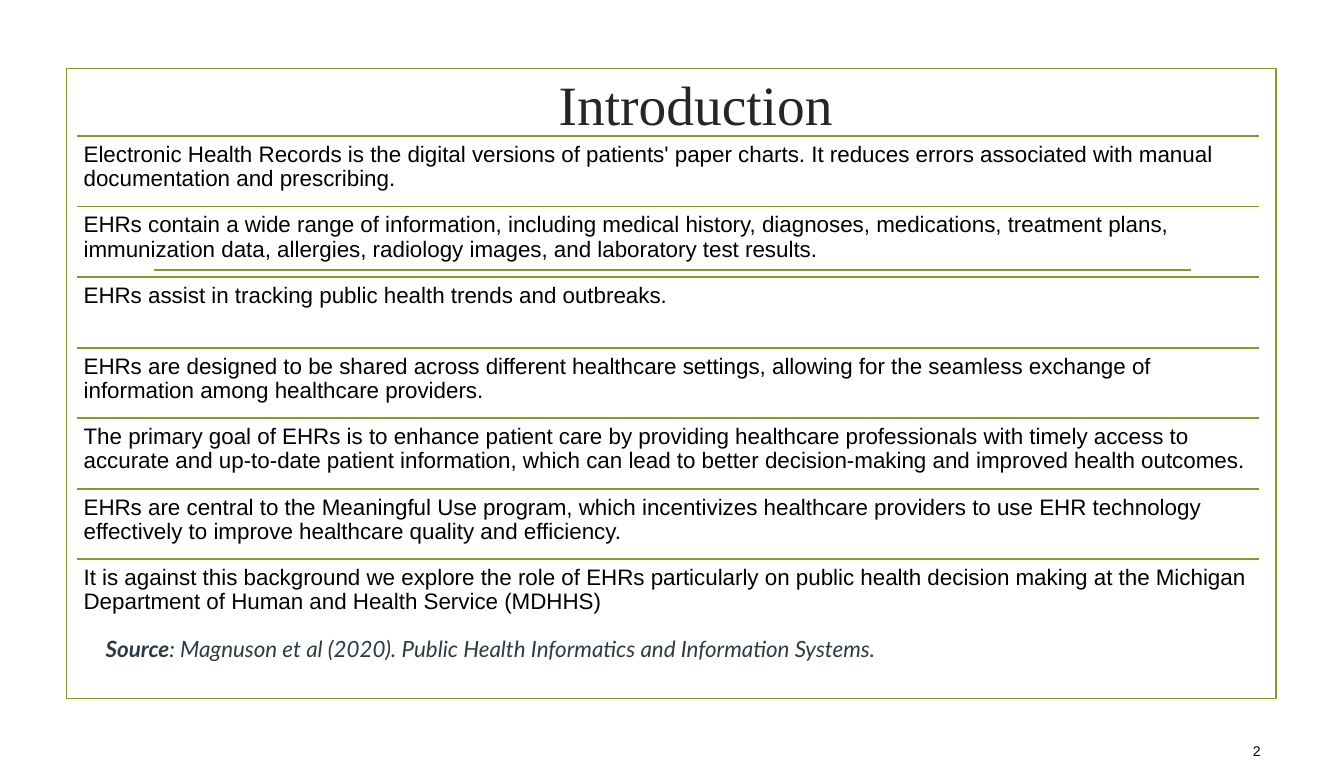
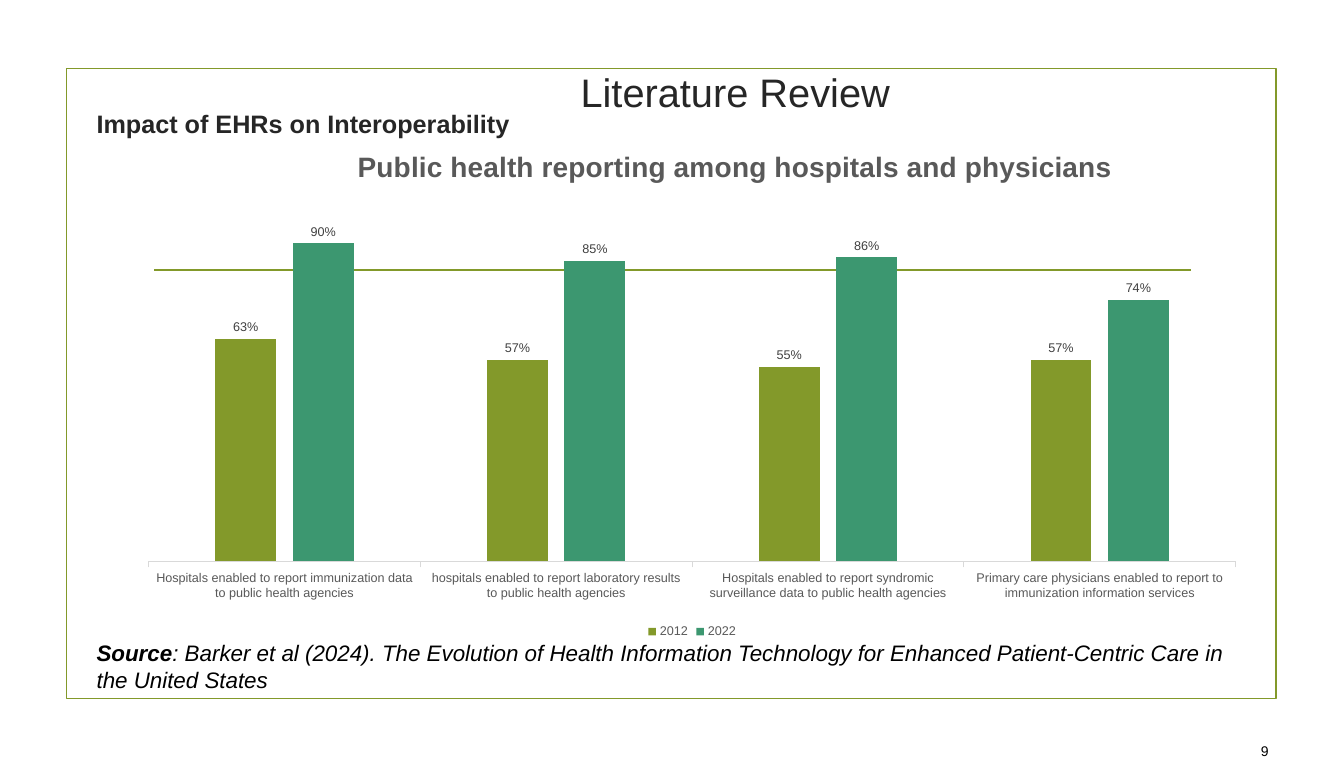
from lxml import etree
from pptx import Presentation
from pptx import util as u
from pptx.chart import data as cd
from pptx.dml import color as dc
from pptx.enum import chart as ec
from pptx.enum import shapes as es
from pptx.enum import text as et
from pptx.oxml import ns

WIDE, HIGH = 13.33, 7.6
OLIVE, GREEN = "83992A", "3C9770"
BLACK, DARK, SLATE = "000000", "262626", "2D3B45"
GREY, LABEL, PALE = "595959", "404040", "D9D9D9"
SANS, SERIF, LATO = "Arial", "Times New Roman", "Lato"
LEFT, RIGHT, TOP, STEP = 0.76, 12.49, 1.35, 0.7
ALIGN, MID = et.PP_ALIGN, et.MSO_ANCHOR.MIDDLE

POINTS = [
    "Electronic Health Records is the digital versions of patients' paper charts. "
    "It reduces errors associated with manual documentation and prescribing.",
    "EHRs contain a wide range of information, including medical history, diagnoses, "
    "medications, treatment plans, immunization data, allergies, radiology images, "
    "and laboratory test results.",
    "EHRs assist in tracking public health trends and outbreaks.",
    "EHRs are designed to be shared across different healthcare settings, allowing "
    "for the seamless exchange of information among healthcare providers.",
    "The primary goal of EHRs is to enhance patient care by providing healthcare "
    "professionals with timely access to accurate and up-to-date patient information, "
    "which can lead to better decision-making and improved health outcomes.",
    "EHRs are central to the Meaningful Use program, which incentivizes healthcare "
    "providers to use EHR technology effectively to improve healthcare quality and "
    "efficiency.",
    "It is against this background we explore the role of EHRs particularly on public "
    "health decision making at the Michigan Department of Human and Health Service "
    "(MDHHS)",
]
CATS = [
    "Hospitals enabled to report immunization data to public health agencies",
    "hospitals enabled to report laboratory results to public health agencies",
    "Hospitals enabled to report syndromic surveillance data to public health agencies",
    "Primary care physicians enabled to report to immunization information services",
]
SERIES = [
    ("2012", (0.63, 0.57, 0.55, 0.57), OLIVE),
    ("2022", (0.9, 0.85, 0.86, 0.74), GREEN),
]


def rgb(code):
    return dc.RGBColor.from_string(code)


def style(font, size, color, face=SANS, bold=False, slant=False):
    font.size, font.name = u.Pt(size), face
    font.bold, font.italic = bold, slant
    font.color.rgb = rgb(color)


def write(slide, box, runs, align=ALIGN.LEFT, anchor=et.MSO_ANCHOR.TOP, inset=None, lead=None):
    frame = slide.shapes.add_textbox(*map(u.Inches, box)).text_frame
    frame.word_wrap = True
    frame.vertical_anchor = anchor
    if inset is not None:
        frame.margin_left = frame.margin_right = u.Inches(inset)
        frame.margin_top = frame.margin_bottom = u.Inches(inset)
    para = frame.paragraphs[0]
    para.alignment = align
    if lead:
        para.line_spacing = lead
    for words, *look in runs:
        run = para.add_run()
        run.text = words
        style(run.font, *look)


def rule(slide, left, right, top):
    ends = map(u.Inches, (left, top, right, top))
    line = slide.shapes.add_connector(es.MSO_CONNECTOR.STRAIGHT, *ends)
    line.line.color.rgb = rgb(OLIVE)
    line.line.width = u.Pt(1.25)
    etree.SubElement(line._element.spPr, ns.qn("a:effectLst"))


def base(deck, title, box, size, face, page, left):
    slide = deck.slides.add_slide(deck.slide_layouts[6])
    edge = map(u.Inches, (0.66, 0.68, 12, 6.25))
    frame = slide.shapes.add_shape(es.MSO_SHAPE.RECTANGLE, *edge)
    frame.shadow.inherit = False
    frame.fill.background()
    frame.line.color.rgb = rgb(OLIVE)
    frame.line.width = u.Pt(1.25)
    rule(slide, 1.53, 11.81, 2.68)
    write(slide, box, [(title, size, DARK, face)], ALIGN.CENTER, MID)
    write(slide, (left, 7.29, 0.59, 0.31), [(page, 10, BLACK)], ALIGN.RIGHT, MID)
    return slide


def source(slide, box, words, color, face):
    write(slide, box, [("Source", 16, color, face, True, True),
                       (words, 16, color, face, False, True)])


def place(layout, **spots):
    for old in list(layout):
        layout.remove(old)
    node = etree.SubElement(layout, ns.qn("c:manualLayout"))
    if "w" in spots:
        etree.SubElement(node, ns.qn("c:layoutTarget")).set("val", "inner")
    for axis in "xy":
        etree.SubElement(node, ns.qn(f"c:{axis}Mode")).set("val", "edge")
    for key, val in spots.items():
        etree.SubElement(node, ns.qn(f"c:{key}")).set("val", str(val))


def layout(owner, after):
    node = owner.find(ns.qn("c:layout"))
    if node is None:
        node = etree.Element(ns.qn("c:layout"))
        if after is None:
            owner.insert(0, node)
        else:
            owner.find(ns.qn(after)).addnext(node)
    return node


def bars(slide, box, title):
    data = cd.CategoryChartData(number_format="0%")
    data.categories = CATS
    for name, vals, _ in SERIES:
        data.add_series(name, vals)
    kind = ec.XL_CHART_TYPE.COLUMN_CLUSTERED
    chart = slide.shapes.add_chart(kind, *map(u.Inches, box), data).chart
    style(chart.font, 10, BLACK)

    chart.has_title = True
    run = chart.chart_title.text_frame.paragraphs[0].add_run()
    run.text = title
    style(run.font, 20, GREY, bold=True)
    place(layout(chart.chart_title._element, "c:tx"), x=0.2, y=0.02)

    chart.has_legend = True
    chart.legend.position = ec.XL_LEGEND_POSITION.BOTTOM
    chart.legend.include_in_layout = False
    style(chart.legend.font, 9, GREY)

    vals = chart.value_axis
    vals.minimum_scale, vals.maximum_scale = 0, 1
    vals.has_major_gridlines = False
    vals.visible = False
    cats = chart.category_axis
    cats.major_tick_mark = ec.XL_TICK_MARK.OUTSIDE
    cats.format.line.color.rgb = rgb(PALE)
    cats.format.line.width = u.Pt(0.75)
    style(cats.tick_labels.font, 9, GREY)

    plot = chart.plots[0]
    plot.gap_width, plot.overlap = 219, -27
    plot.vary_by_categories = False
    for row, (_, _, color) in zip(plot.series, SERIES):
        row.format.fill.solid()
        row.format.fill.fore_color.rgb = rgb(color)
        tags = row.data_labels
        tags.show_value = True
        tags.position = ec.XL_LABEL_POSITION.OUTSIDE_END
        tags.number_format, tags.number_format_is_linked = "0%", False
        style(tags.font, 9, LABEL)
    area = chart._chartSpace.chart.plotArea
    place(layout(area, None), x=0.02, y=0.145, w=0.96, h=0.695)


def intro(deck):
    slide = base(deck, "Introduction", (4.9, 0.81, 4, 0.44), 39.6, SERIF, "2", 12.01)
    for row, words in enumerate(POINTS):
        top = TOP + row * STEP
        rule(slide, LEFT, RIGHT, top)
        write(slide, (LEFT, top, RIGHT - LEFT, STEP), [(words, 16, BLACK)],
              inset=0.07, lead=0.9)
    source(slide, (0.95, 6.25, 8.44, 0.37),
           ": Magnuson et al (2020). Public Health Informatics and Information Systems.",
           SLATE, LATO)


def review(deck):
    slide = base(deck, "Literature Review", (5.53, 0.68, 3.53, 0.45), 28.4, SANS, "9", 12.09)
    bars(slide, (1.25, 1.33, 11.23, 5.05),
         "Public health reporting among hospitals and physicians")
    write(slide, (0.86, 1.02, 4.56, 0.41),
          [("Impact of EHRs on Interoperability", 18, DARK, SANS, True)], anchor=MID)
    source(slide, (0.86, 6.29, 11.67, 0.64),
           ": Barker et al (2024). The Evolution of Health Information Technology "
           "for Enhanced Patient-Centric Care in the United States", BLACK, SANS)


def main():
    deck = Presentation()
    deck.slide_width, deck.slide_height = u.Inches(WIDE), u.Inches(HIGH)
    intro(deck)
    review(deck)
    deck.save("out.pptx")


if __name__ == "__main__":
    main()
